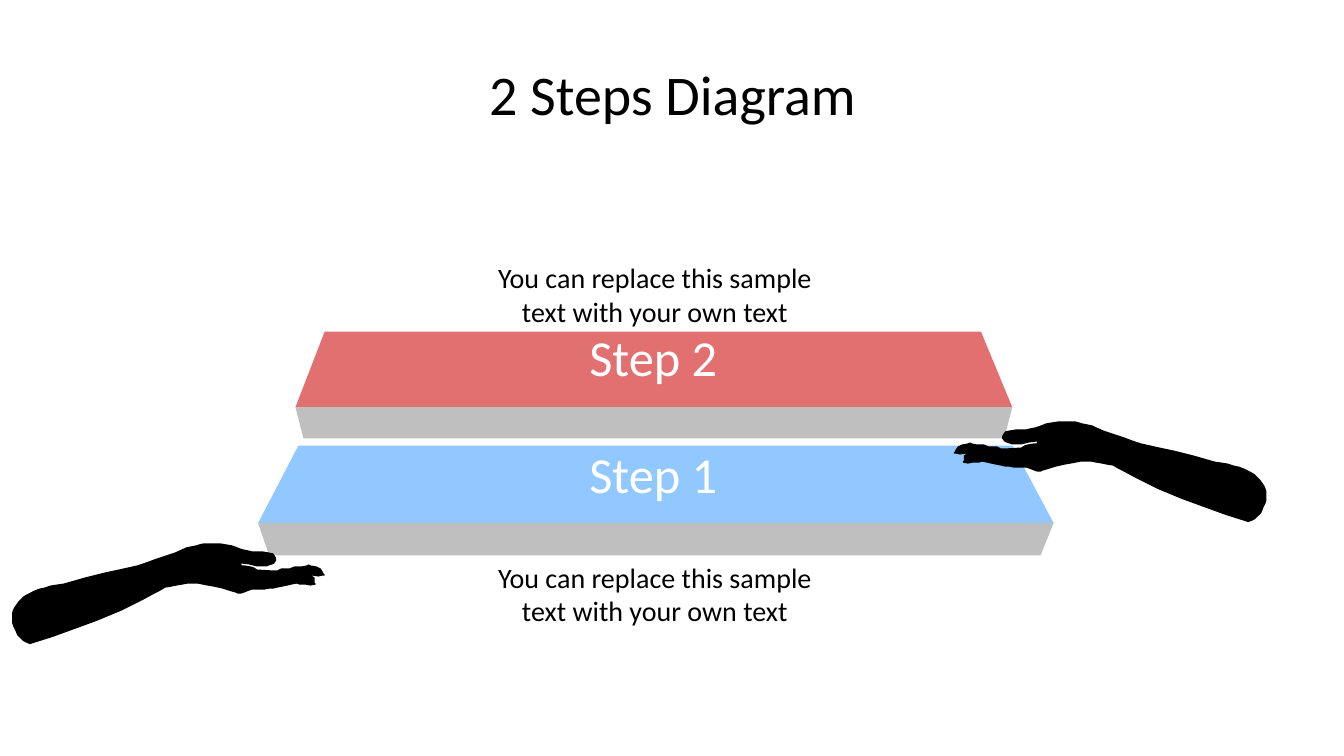
from pptx import Presentation
from pptx import util as u
from pptx.dml.color import RGBColor
from pptx.enum import text

PX = 9144  # EMU per px, 100 px to the inch
SLIDE = (1333, 750)
FONT = "Calibri"
BLACK, WHITE, GREY = "000000", "FFFFFF", "BFBFBF"
SAMPLE = "You can replace this sample text with your own text"

# (left, top, width, height), wording, size, colour
TITLE = ((67, 30, 1200, 125), "2 Steps Diagram", 40, BLACK)
LABELS = [
    ((569, 435, 158, 71), "Step 1", 36, WHITE),
    ((569, 319, 158, 71), "Step 2", 36, WHITE),
    ((469, 551, 361, 77), SAMPLE, 20, BLACK),
    ((469, 254, 361, 77), SAMPLE, 20, BLACK),
]

# Each slab: colour, then its back, middle and bottom edge as (left, right, y)
SLABS = [
    ("E37070", (322, 973, 329), (293, 1004, 404), (301, 996, 435)),
    ("90C8FF", (296, 1004, 442), (256, 1045, 519), (267, 1032, 551)),
]

LEFT_HAND = [
    (230, 541), (238, 544), (241, 545), (246, 546), (250, 547), (254, 547),
    (260, 547), (266, 548), (271, 549), (273, 552), (274, 554), (274, 556),
    (272, 559), (270, 560), (267, 561), (264, 562), (259, 562), (255, 562),
    (247, 560), (239, 559), (240, 561), (243, 561), (249, 562), (252, 563),
    (255, 565), (271, 566), (275, 566), (279, 564), (287, 564), (292, 562),
    (299, 562), (304, 561), (306, 560), (308, 561), (314, 562), (318, 564),
    (320, 567), (321, 569), (322, 570), (322, 571), (320, 571), (316, 572),
    (309, 571), (312, 573), (312, 578), (313, 579), (313, 580), (308, 581),
    (303, 580), (297, 580), (294, 579), (289, 580), (285, 581), (280, 582),
    (275, 583), (271, 584), (267, 584), (262, 585), (250, 585), (247, 586),
    (242, 588), (239, 589), (236, 589), (234, 588), (227, 586), (221, 584),
    (212, 582), (206, 581), (201, 580), (196, 579), (186, 579), (181, 580),
    (175, 581), (170, 582), (164, 583), (159, 586), (153, 589), (142, 595),
    (120, 606), (108, 611), (96, 616), (74, 624), (52, 632), (33, 638),
    (30, 639), (27, 638), (23, 636), (20, 633), (17, 630), (15, 625),
    (13, 621), (12, 618), (12, 608), (13, 605), (14, 603), (16, 600),
    (18, 597), (20, 595), (23, 592), (26, 590), (30, 588), (34, 586),
    (39, 584), (44, 583), (50, 581), (56, 580), (63, 579), (70, 577),
    (84, 573), (104, 568), (118, 565), (136, 561), (145, 558), (153, 555),
    (174, 548), (185, 543), (195, 541), (198, 540), (202, 539), (218, 539),
]
MIRROR_SUM, HAND_RISE = 1268, 121
RIGHT_HAND = [(MIRROR_SUM - x, y - HAND_RISE) for x, y in LEFT_HAND]


def colour(value):
    return RGBColor.from_string(value)


def add_outline(page, points, fill):
    builder = page.shapes.build_freeform(*points[0], scale=PX)
    builder.add_line_segments(points[1:], close=True)
    shape = builder.convert_to_shape()
    shape.shadow.inherit = False
    shape.fill.solid()
    shape.fill.fore_color.rgb = colour(fill)
    shape.line.fill.background()


def add_band(page, upper, lower, fill):
    """Draw the four-sided face between two level edges."""
    (left, right, top), (low_left, low_right, bottom) = upper, lower
    corners = [(left, top), (right, top), (low_right, bottom), (low_left, bottom)]
    add_outline(page, corners, fill)


def add_text(page, place, wording, size, ink):
    box = page.shapes.add_textbox(*(n * PX for n in place))
    frame = box.text_frame
    frame.word_wrap = True
    para = frame.paragraphs[0]
    para.text = wording
    para.alignment = text.PP_ALIGN.CENTER
    para.font.name = FONT
    para.font.size = u.Pt(size)
    para.font.color.rgb = colour(ink)
    return frame


def main():
    deck = Presentation()
    deck.slide_width, deck.slide_height = (n * PX for n in SLIDE)
    page = deck.slides.add_slide(deck.slide_layouts[6])

    add_text(page, *TITLE).vertical_anchor = text.MSO_ANCHOR.MIDDLE
    for fill, back, middle, bottom in SLABS:
        add_band(page, back, middle, fill)
        add_band(page, middle, bottom, GREY)
    for hand in (LEFT_HAND, RIGHT_HAND):
        add_outline(page, hand, BLACK)
    for label in LABELS:
        add_text(page, *label).auto_size = text.MSO_AUTO_SIZE.SHAPE_TO_FIT_TEXT

    deck.save("out.pptx")


if __name__ == "__main__":
    main()
